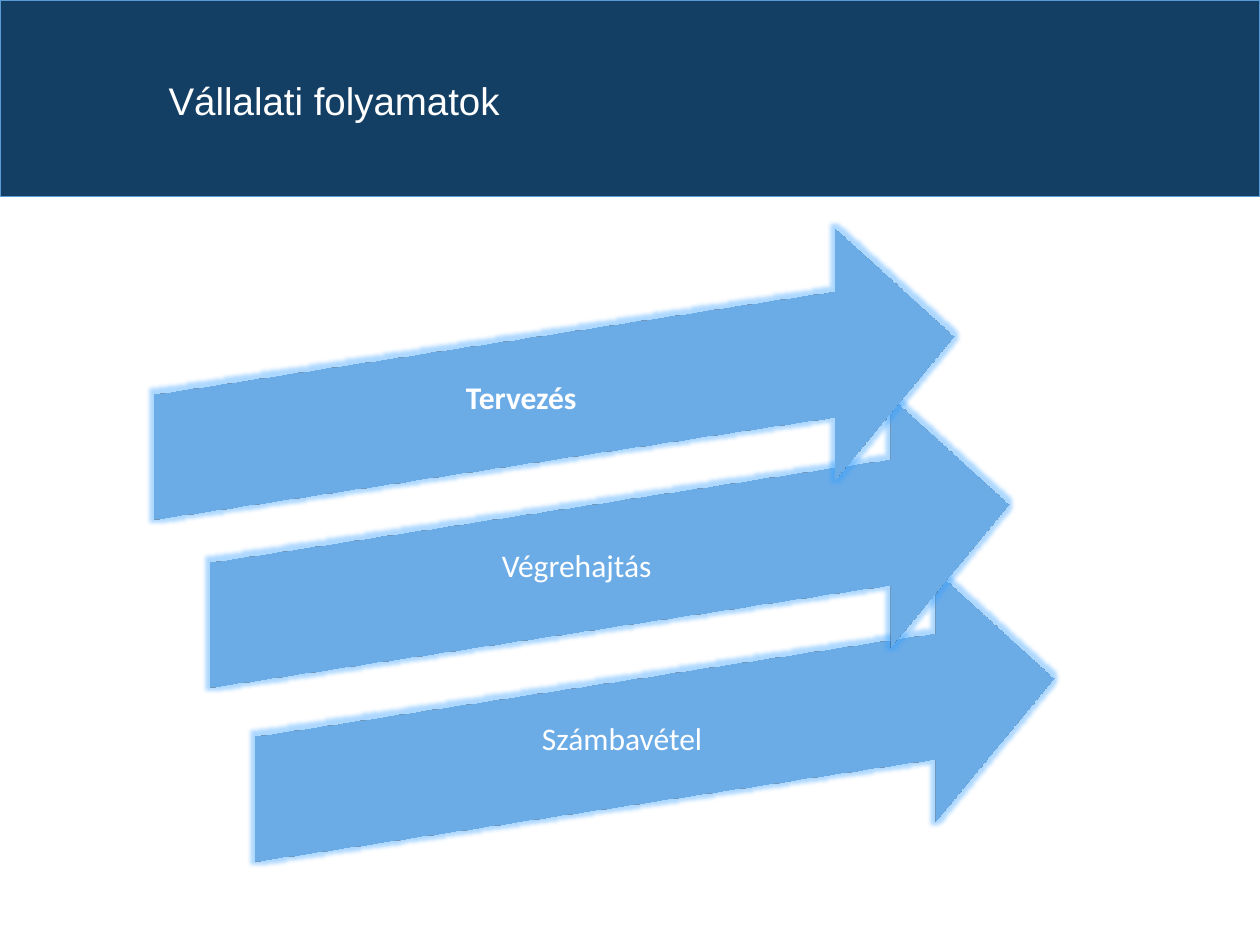
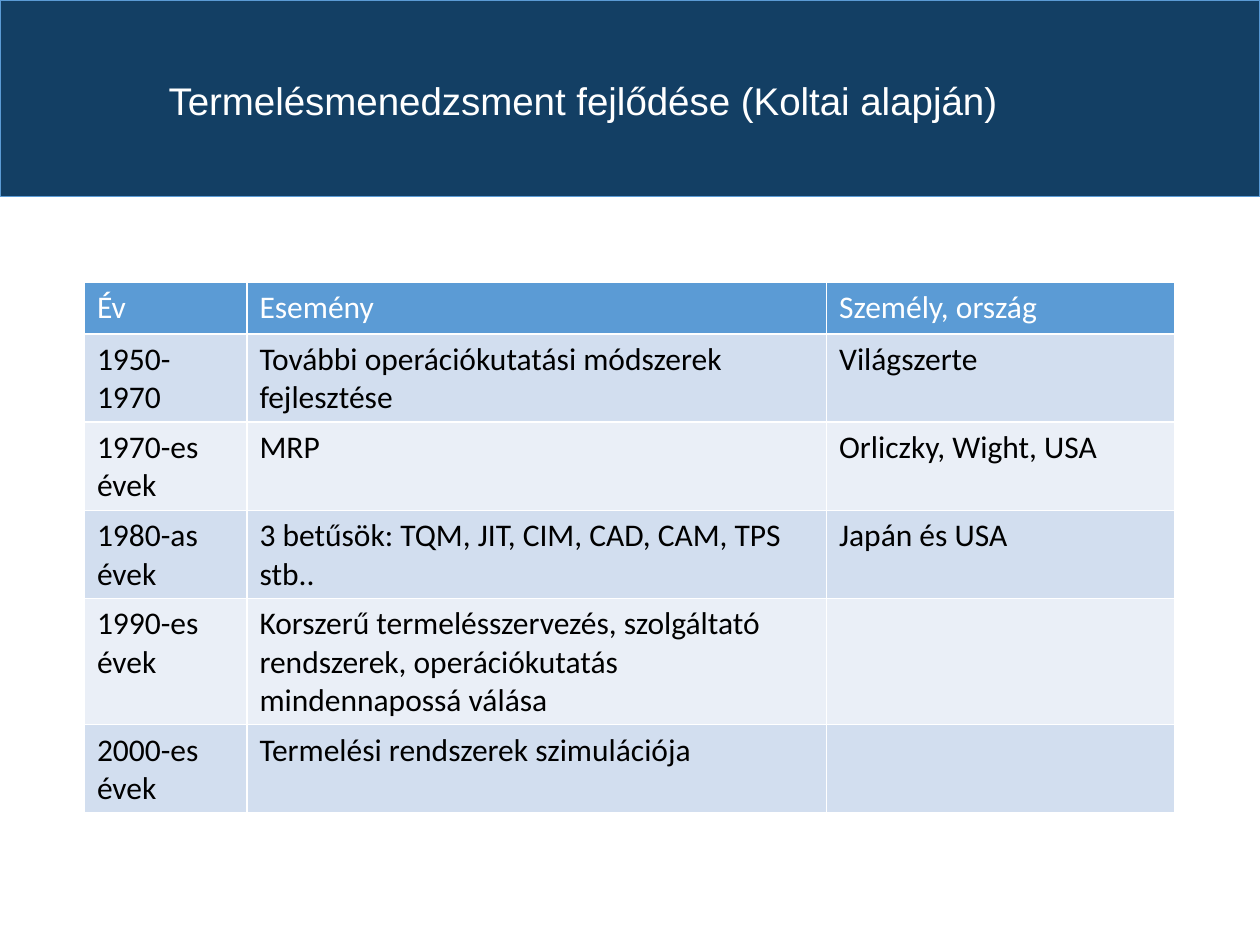
from lxml.etree import fromstring
from pptx import Presentation
from pptx.dml.color import RGBColor
from pptx.enum.shapes import MSO_SHAPE
from pptx.enum.text import MSO_ANCHOR, PP_ALIGN
from pptx.util import Inches, Pt

NAVY = RGBColor(0x13, 0x3F, 0x64)
BLUE = RGBColor(0x5B, 0x9B, 0xD5)
EDGE = RGBColor(0x43, 0x73, 0x9E)
PALE = RGBColor(0xD2, 0xDE, 0xEF)
MIST = RGBColor(0xEA, 0xEF, 0xF7)
WHITE = RGBColor(0xFF, 0xFF, 0xFF)
BLACK = RGBColor(0x00, 0x00, 0x00)

SPACE = 'xmlns:a="http://schemas.openxmlformats.org/drawingml/2006/main"'
GLOW = f"""<a:effectLst {SPACE}><a:glow rad="63500"><a:srgbClr val="{BLUE}">
<a:satMod val="175000"/><a:alpha val="40000"/></a:srgbClr></a:glow></a:effectLst>"""
SCENE = f"""<a:scene3d {SPACE}><a:camera prst="isometricOffAxis1Right"/>
<a:lightRig rig="threePt" dir="t"/></a:scene3d>"""

ARROWS = [  # from back to front
    ("Számbavétel", 1.67, 4.81, False),
    ("Végrehajtás", 1.31, 3.43, False),
    ("Tervezés", 0.87, 2.1, True),
]
EVENTS = [
    ("Év", "Esemény", "Személy, ország"),
    ("1950-1970", "További operációkutatási módszerek fejlesztése", "Világszerte"),
    ("1970-es évek", "MRP", "Orliczky, Wight, USA"),
    ("1980-as évek", "3 betűsök: TQM, JIT, CIM, CAD, CAM, TPS stb..", "Japán és USA"),
    ("1990-es évek", "Korszerű termelésszervezés, szolgáltató rendszerek, "
     "operációkutatás mindennapossá válása", ""),
    ("2000-es évek", "Termelési rendszerek szimulációja", ""),
]


class Deck:
    """Holds the shared style and the slide being drawn."""

    head = {"name": "Arial", "size": Pt(22)}
    body = {"name": "Calibri", "size": Pt(18)}

    def __init__(self):
        self.show = Presentation()
        self.show.slide_width = Inches(10)
        self.show.slide_height = Inches(7.5)
        self.slide = None

    def start(self, title):
        """Adds a slide with the top band and its title."""
        self.slide = self.show.slides.add_slide(self.show.slide_layouts[6])
        self.shape(MSO_SHAPE.RECTANGLE, (0, 0, 10, 1.56), NAVY, BLUE, 0.5)
        box = self.slide.shapes.add_textbox(*map(Inches, (1.24, 0.4, 8.07, 0.84)))
        box.text_frame.word_wrap = True
        box.text_frame.vertical_anchor = MSO_ANCHOR.MIDDLE
        self.label(box.text_frame, title, self.head, WHITE).line_spacing = 0.9

    def label(self, frame, text, style, color, bold=False):
        """Fills the first paragraph of a frame and returns it."""
        para = frame.paragraphs[0]
        run = para.add_run()
        run.text = text
        for key, value in {**style, "bold": bold}.items():
            setattr(run.font, key, value)
        run.font.color.rgb = color
        return para

    def shape(self, kind, place, fill, line, width):
        item = self.slide.shapes.add_shape(kind, *map(Inches, place))
        item.shadow.inherit = False
        item.fill.solid()
        item.fill.fore_color.rgb = fill
        item.line.color.rgb = line
        item.line.width = Pt(width)
        return item

    def arrow(self, text, left, top, bold):
        """Adds a glowing arrow turned in space."""
        item = self.shape(MSO_SHAPE.RIGHT_ARROW, (left, top, 7.06, 2.1), BLUE, EDGE, 1)
        props = item.element.spPr
        props.remove(props[-1])  # the empty effect list gives way to the glow
        for part in (GLOW, SCENE):
            props.append(fromstring(part))
        item.text_frame.vertical_anchor = MSO_ANCHOR.MIDDLE
        para = self.label(item.text_frame, text, self.body, WHITE, bold)
        para.alignment = PP_ALIGN.CENTER

    def table(self, rows, left, top, widths, height):
        size = (left, top, sum(widths), height * len(rows))
        grid = self.slide.shapes.add_table(len(rows), len(widths), *map(Inches, size)).table
        for column, width in zip(grid.columns, widths):
            column.width = Inches(width)
        for r, row in enumerate(rows):
            fill = BLUE if r == 0 else (MIST, PALE)[r % 2]
            for c, text in enumerate(row):
                cell = grid.cell(r, c)
                cell.fill.solid()
                cell.fill.fore_color.rgb = fill
                if text:
                    self.label(cell.text_frame, text, self.body, BLACK if r else WHITE)


def main():
    deck = Deck()
    deck.start("Vállalati folyamatok")
    for arrow in ARROWS:
        deck.arrow(*arrow)
    deck.start("Termelésmenedzsment fejlődése (Koltai alapján)")
    deck.table(EVENTS, 0.67, 2.24, (1.29, 4.6, 2.76), 0.41)
    deck.show.save("out.pptx")


if __name__ == "__main__":
    main()
